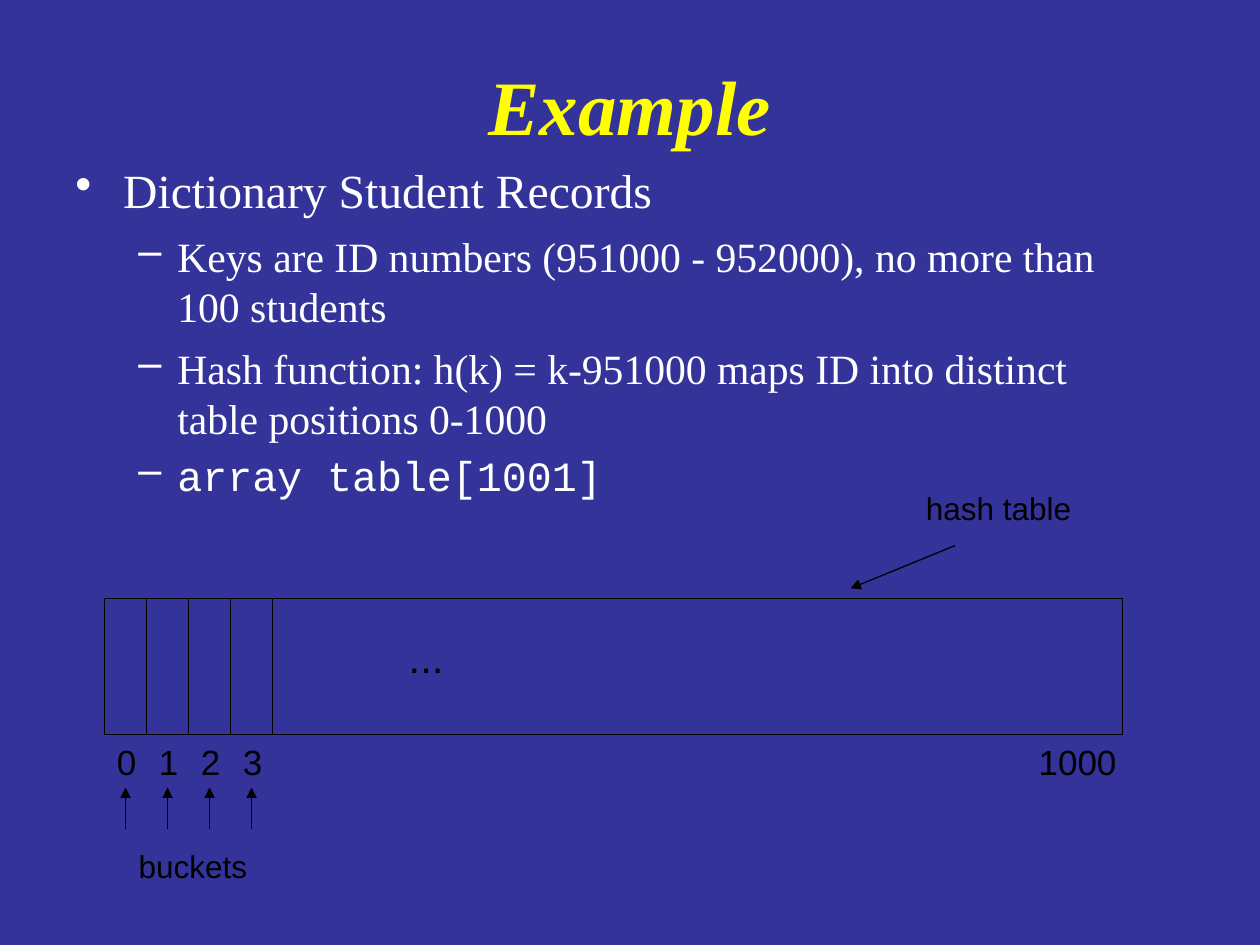
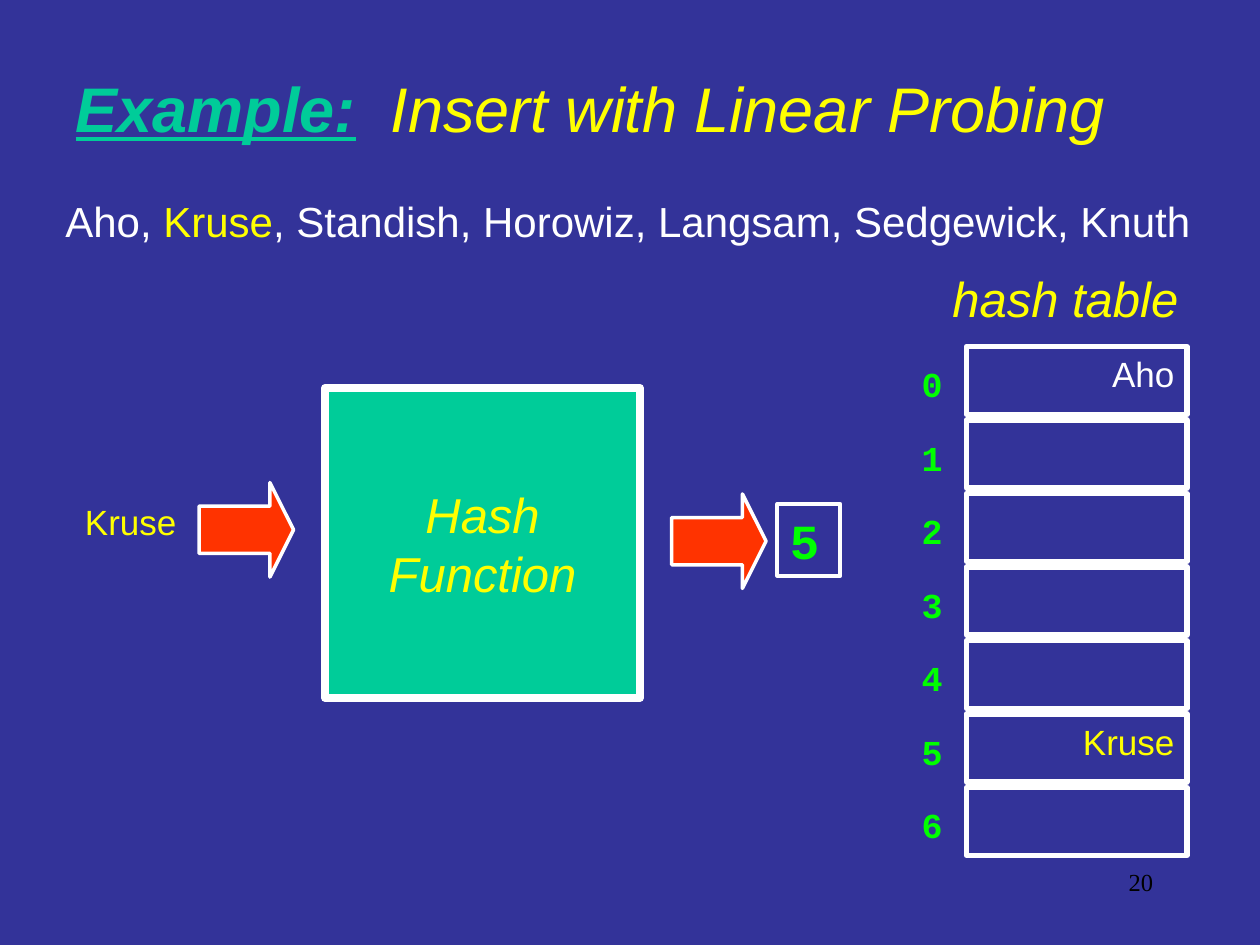
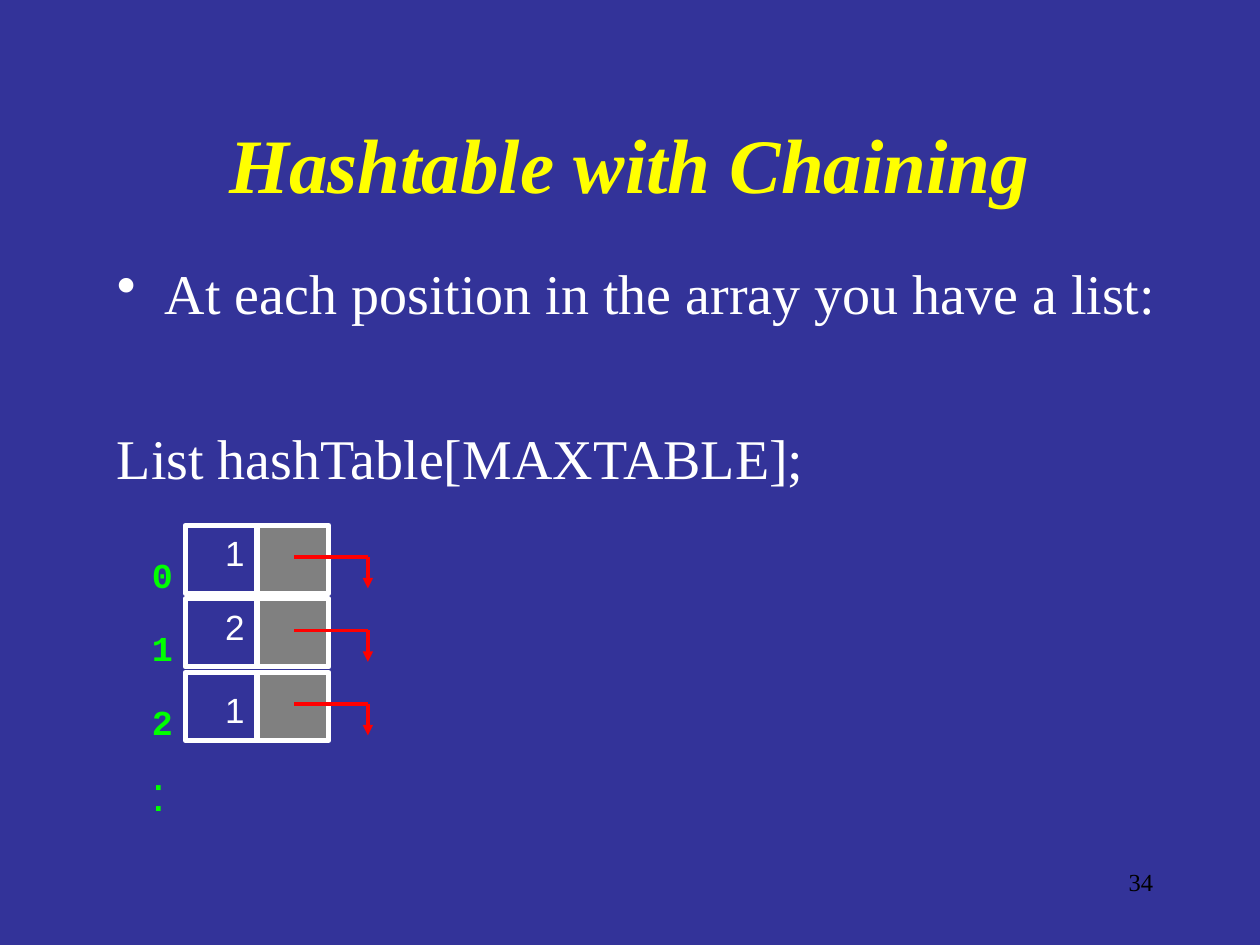
import pptx
import pptx.dml.color
import pptx.enum.shapes
import pptx.enum.text
import pptx.oxml.ns
import pptx.util
from lxml import etree

Inches = pptx.util.Inches
Pt = pptx.util.Pt
RGB = pptx.dml.color.RGBColor
ALIGN = pptx.enum.text.PP_ALIGN
ANCHOR = pptx.enum.text.MSO_ANCHOR
SHAPE = pptx.enum.shapes.MSO_SHAPE
qn = pptx.oxml.ns.qn

NAVY = RGB(0x33, 0x33, 0x99)
YELLOW = RGB(0xFF, 0xFF, 0x00)
WHITE = RGB(0xFF, 0xFF, 0xFF)
BLACK = RGB(0x00, 0x00, 0x00)
GREEN = RGB(0x00, 0xFF, 0x00)
TEAL = RGB(0x00, 0xCC, 0x99)
ORANGE = RGB(0xFF, 0x33, 0x00)
RED = RGB(0xFF, 0x00, 0x00)
GRAY = RGB(0x80, 0x80, 0x80)

SANS, SERIF, MONO = "Arial", "Times New Roman", "Courier New"


def font(name, size, color, **extra):
    return {"name": name, "size": Pt(size), "color": color, **extra}


TITLE = font(SERIF, 44, YELLOW, bold=True, italic=True)
PAGE_NUMBER = font(SERIF, 14, BLACK)
NOTE = font(SANS, 18, BLACK)
SLOT_NUMBER = font(SANS, 20, BLACK)
INDEX = font(MONO, 20, GREEN, bold=True)
VALUE = font(SANS, 20, WHITE)
KEY = font(SANS, 20, YELLOW)
CAPTION = font(SANS, 28, YELLOW, italic=True)

ROW_PITCH = 7 / 12
ROW_HEIGHT = 0.54
BUCKET_PITCH = 1 / 3


def add_run(p, text, style):
    r = p.add_run()
    r.text = text
    for name, value in style.items():
        if name == "color":
            r.font.color.rgb = value
        else:
            setattr(r.font, name, value)


def format_frame(tf, anchor, wrap=True):
    settings = {
        "word_wrap": wrap,
        "vertical_anchor": anchor,
        "auto_size": pptx.enum.text.MSO_AUTO_SIZE.NONE,
        "margin_left": Inches(0.1),
        "margin_right": Inches(0.1),
        "margin_top": Inches(0.05),
        "margin_bottom": Inches(0.05),
    }
    for name, value in settings.items():
        setattr(tf, name, value)


def write(sp, runs, align, anchor=ANCHOR.TOP, wrap=True):
    tf = sp.text_frame
    format_frame(tf, anchor, wrap)
    p = tf.paragraphs[0]
    p.alignment = align
    for text, style in runs:
        add_run(p, text, style)


def add_text(s, box, text, style, align=ALIGN.RIGHT, wrap=True):
    sp = s.shapes.add_textbox(*map(Inches, box))
    write(sp, [(text, style)], align, wrap=wrap)


def set_title(s, box, runs, align=ALIGN.CENTER, anchor=ANCHOR.MIDDLE):
    sp = s.shapes.title
    for name, value in zip(("left", "top", "width", "height"), box):
        setattr(sp, name, Inches(value))
    write(sp, runs, align, anchor)


def add_box(s, box, line, weight, fill=None, kind=SHAPE.RECTANGLE):
    sp = s.shapes.add_shape(kind, *map(Inches, box))
    sp.shadow.inherit = False
    if fill is None:
        sp.fill.background()
    else:
        sp.fill.solid()
        sp.fill.fore_color.rgb = fill
    sp.line.color.rgb = line
    sp.line.width = Pt(weight)
    return sp


def add_block_arrow(s, left, top):
    sp = add_box(s, (left, top, 0.75, 0.75), WHITE, 2, ORANGE, SHAPE.RIGHT_ARROW)
    sp.adjustments[0] = 0.5
    sp.adjustments[1] = 0.25


def add_line(s, start, end, color=BLACK, weight=0.75, arrow=False):
    cn = s.shapes.add_connector(
        pptx.enum.shapes.MSO_CONNECTOR.STRAIGHT, *map(Inches, start + end)
    )
    cn.line.color.rgb = color
    cn.line.width = Pt(weight)
    if arrow:
        etree.SubElement(cn.line._get_or_add_ln(), qn("a:tailEnd"), type="triangle")
    etree.SubElement(cn._element.spPr, qn("a:effectLst"))


def set_bullet(p, margin, indent, char=None):
    pPr = p._p.get_or_add_pPr()
    pPr.set("marL", str(Inches(margin)))
    pPr.set("indent", str(Inches(indent)))
    if char:
        clr = etree.SubElement(pPr, qn("a:buClr"))
        etree.SubElement(clr, qn("a:srgbClr"), val=str(WHITE))
        etree.SubElement(pPr, qn("a:buChar"), char=char)


def add_body(s, box, items):
    tf = s.shapes.add_textbox(*map(Inches, box)).text_frame
    format_frame(tf, ANCHOR.TOP)
    for i, (text, style, before, spacing, bullet) in enumerate(items):
        p = tf.add_paragraph() if i else tf.paragraphs[0]
        p.space_before = Pt(before)
        p.line_spacing = spacing
        set_bullet(p, *bullet)
        add_run(p, text, style)


def add_page_number(s, number):
    add_text(s, (7.17, 6.83, 2.08, 0.5), number, PAGE_NUMBER)


def add_slide(prs):
    return prs.slides.add_slide(prs.slide_layouts[5])


def build_hash_example(prs):
    s = add_slide(prs)
    set_title(s, (0.75, 0.21, 8.5, 1.25), [("Example", TITLE)])
    detail = font(SERIF, 23.8, WHITE)
    code = font(MONO, 23.8, WHITE)
    dash = (0.81, -0.31, "–")
    add_body(s, (0.5, 1.23, 8.5, 2.92), [
        ("Dictionary Student Records", font(SERIF, 27.2, WHITE), 8, 1.0, (0.38, -0.38, "•")),
        ("Keys are ID numbers (951000 - 952000), no more than 100 students", detail, 7, 1.0, dash),
        ("Hash function: h(k) = k-951000 maps ID into distinct table positions 0-1000",
         detail, 7, 1.0, dash),
        ("array table[1001]", code, 7, 0.9, dash),
    ])

    left, top, height = 0.83, 4.75, 1.08
    add_box(s, (left, top, 8.08, height), BLACK, 0.75)
    for i in range(4):
        x = left + i * BUCKET_PITCH
        divider, middle = x + BUCKET_PITCH, x + BUCKET_PITCH / 2
        add_line(s, (divider, top), (divider, top + height))
        add_text(s, (x, 5.83, 0.35, 0.44), str(i), SLOT_NUMBER, wrap=False)
        add_line(s, (middle, 6.58), (middle, 6.25), arrow=True)
    add_text(s, (3.14, 4.96, 0.48, 0.5), "...", font(SANS, 24, BLACK), wrap=False)
    add_text(s, (8.14, 5.83, 0.82, 0.44), "1000", SLOT_NUMBER, wrap=False)
    add_text(s, (7.25, 3.83, 1.35, 0.4), "hash table", NOTE, wrap=False)
    add_line(s, (7.58, 4.33), (6.75, 4.67), arrow=True)
    add_text(s, (1, 6.67, 1.06, 0.4), "buckets", NOTE, wrap=False)


def build_linear_probing(prs):
    s = add_slide(prs)
    set_title(s, (0.5, 0.5, 8.75, 0.7), [
        ("Example:", font(SANS, 36, TEAL, bold=True, italic=True, underline=True)),
        ("  Insert with Linear Probing", font(SANS, 36, YELLOW, bold=False, italic=True)),
    ], ALIGN.LEFT, ANCHOR.TOP)
    add_page_number(s, "20")

    names = s.shapes.add_textbox(*map(Inches, (0.42, 1.5, 9.25, 0.5)))
    plain = font(SANS, 24, WHITE)
    write(names, [
        ("Aho, ", plain),
        ("Kruse", font(SANS, 24, YELLOW)),
        (", Standish, Horowiz, Langsam, Sedgewick, Knuth", plain),
    ], ALIGN.LEFT)

    add_text(s, (0, 3.92, 1.5, 0.44), "Kruse", KEY)
    add_block_arrow(s, 1.58, 3.83)
    function = add_box(s, (2.58, 3.08, 2.5, 2.46), WHITE, 4.5, TEAL)
    write(function, [("Hash Function", CAPTION)], ALIGN.CENTER, ANCHOR.MIDDLE)
    add_block_arrow(s, 5.33, 3.92)
    result = add_box(s, (6.17, 4, 0.5, 0.57), WHITE, 2.25)
    write(result, [("5", font(MONO, 28, GREEN, bold=True))], ALIGN.LEFT)

    add_text(s, (7.33, 2.08, 2.25, 0.57), "hash table", CAPTION, ALIGN.CENTER)
    entries = {0: ("Aho", VALUE), 5: ("Kruse", KEY)}
    for i in range(7):
        y = 2.75 + i * ROW_PITCH
        add_box(s, (7.67, y, 1.75, ROW_HEIGHT), WHITE, 3)
        add_text(s, (6.75, y + 0.08, 0.83, 0.44), str(i), INDEX)
        if i in entries:
            add_text(s, (7.67, y, 1.75, 0.44), *entries[i])


def build_chaining(prs):
    s = add_slide(prs)
    set_title(s, (0.75, 0.67, 8.5, 1.25), [("Hashtable with Chaining", TITLE)])
    add_page_number(s, "34")
    body = font(SERIF, 32, WHITE)
    add_body(s, (0.83, 2, 8.5, 2.42), [
        ("At each position in the array you have a list:", body, 8, 1.0, (0.38, -0.38, "•")),
        ("List hashTable[MAXTABLE];", body, 56, 1.0, (0.38, -0.38)),
    ])

    left, width = 1.47, 0.57
    for i, (count, drop) in enumerate([("1", 0), ("2", 0), ("1", 0.08)]):
        y = 4.17 + i * ROW_PITCH
        add_text(s, (0.58, y + 0.17, 0.89, 0.44), str(i), INDEX)
        add_box(s, (left, y, width, ROW_HEIGHT), WHITE, 3)
        add_box(s, (left + width, y, width, ROW_HEIGHT), WHITE, 3, GRAY)
        add_text(s, (left, y + drop, width, 0.44), count, VALUE)
        corner = (2.92, y + 0.25)
        add_line(s, corner, (2.92, y + 0.5), RED, 2, arrow=True)
        add_line(s, corner, (2.33, y + 0.25), RED, 2)
    add_text(s, (0.58, 6, 0.83, 0.57), ":", font(SANS, 28, GREEN))


def main():
    prs = pptx.Presentation()
    prs.slide_width = Inches(10)
    prs.slide_height = Inches(7.5)
    fill = prs.slide_master.background.fill
    fill.solid()
    fill.fore_color.rgb = NAVY
    build_hash_example(prs)
    build_linear_probing(prs)
    build_chaining(prs)
    prs.save("out.pptx")


if __name__ == "__main__":
    main()
